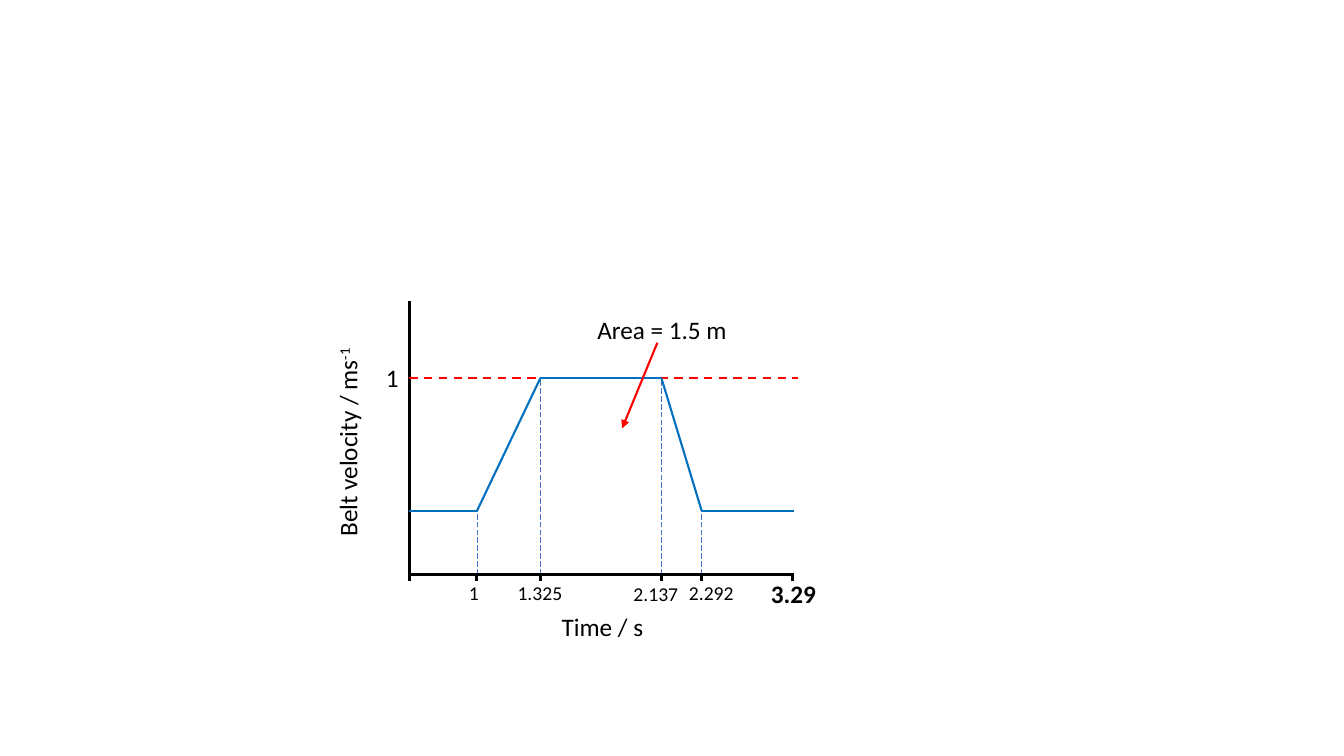
from dataclasses import dataclass
from typing import Optional

from lxml import etree
from pptx import Presentation
from pptx import util as u
from pptx.dml.color import RGBColor
from pptx.enum import dml, shapes, text
from pptx.oxml.ns import qn


@dataclass(frozen=True)
class Theme:
    font: str = "Calibri"
    black: str = "000000"
    blue: str = "0070C0"
    guide: str = "4472C4"
    red: str = "FF0000"
    large: int = 18
    small: int = 14
    thick: float = 2.25
    mid: float = 1.5
    thin: float = 0.5


THEME = Theme()


@dataclass(frozen=True)
class Pen:
    color: str
    width: float
    dash: Optional[dml.MSO_LINE] = None


AXIS = Pen(THEME.black, THEME.thick)
CURVE = Pen(THEME.blue, THEME.mid)
GUIDE = Pen(THEME.guide, THEME.thin, dml.MSO_LINE.LONG_DASH)
LIMIT = Pen(THEME.red, THEME.mid, dml.MSO_LINE.DASH)
ARROW = Pen(THEME.red, THEME.mid)


@dataclass(frozen=True)
class Point:
    x: float
    y: float


@dataclass(frozen=True)
class Label:
    words: str
    left: float
    top: float
    width: float


# Levels and times on the graph, in inches on the slide
BASE, LOW, HIGH, TOP = 5.7, 5.07, 3.75, 2.99
START, RISE, FULL, FALL, REST, END = 4.06, 4.73, 5.36, 6.56, 6.96, 7.86
TICK = 0.06

TRACE = [Point(START, LOW), Point(RISE, LOW), Point(FULL, HIGH),
         Point(FALL, HIGH), Point(REST, LOW), Point(7.88, LOW)]
TIMES = [Label("1", 4.45, 5.71, 0.5), Label("1.325", 4.95, 5.71, 0.81),
         Label("2.137", 6.1, 5.72, 0.81), Label("2.292", 6.65, 5.71, 0.81)]


def draw_line(slide, a: Point, b: Point, pen: Pen, arrow: bool = False) -> None:
    line = slide.shapes.add_connector(
        shapes.MSO_CONNECTOR.STRAIGHT,
        u.Inches(a.x), u.Inches(a.y), u.Inches(b.x), u.Inches(b.y))
    line.line.color.rgb = RGBColor.from_string(pen.color)
    line.line.width = u.Pt(pen.width)
    if pen.dash is not None:
        line.line.dash_style = pen.dash
    if arrow:
        etree.SubElement(line.line._get_or_add_ln(), qn("a:tailEnd"), type="triangle")
    etree.SubElement(line._element.spPr, qn("a:effectLst"))


def add_text(slide, label: Label, *, size: int = THEME.large, bold: bool = False,
             align: text.PP_ALIGN = text.PP_ALIGN.CENTER, turn: int = 0,
             power: str = "") -> None:
    """Place a label; power is set as a superscript after its words."""
    height = 0.4 if size == THEME.large else 0.34
    box = slide.shapes.add_textbox(u.Inches(label.left), u.Inches(label.top),
                                   u.Inches(label.width), u.Inches(height))
    box.rotation = turn
    frame = box.text_frame
    frame.word_wrap = True
    frame.auto_size = text.MSO_AUTO_SIZE.SHAPE_TO_FIT_TEXT
    para = frame.paragraphs[0]
    para.alignment = align
    for words in filter(None, (label.words, power)):
        run = para.add_run()
        run.text = words
        run.font.name = THEME.font
        run.font.size = u.Pt(size)
        run.font.bold = bold
        run.font.color.rgb = RGBColor.from_string(THEME.black)
    if power:
        run._r.get_or_add_rPr().set("baseline", "30000")


def draw_graph(slide) -> None:
    for point in TRACE[1:-1]:
        draw_line(slide, Point(point.x, BASE), point, GUIDE)
    draw_line(slide, Point(START, TOP), Point(START, BASE), AXIS)
    draw_line(slide, Point(START, BASE), Point(7.88, BASE), AXIS)
    for x in (START, RISE, FULL, FALL, REST, END):
        draw_line(slide, Point(x, BASE), Point(x, BASE + TICK), AXIS)
    draw_line(slide, Point(START, HIGH), Point(7.91, HIGH), LIMIT)
    for a, b in zip(TRACE, TRACE[1:]):
        draw_line(slide, a, b, CURVE)
    draw_line(slide, Point(6.52, 3.4), Point(6.17, 4.25), ARROW, arrow=True)


def add_labels(slide) -> None:
    for label in TIMES:
        add_text(slide, label, size=THEME.small)
    add_text(slide, Label("3.29", 7.5, 5.69, 0.74), bold=True)
    add_text(slide, Label("1", 3.73, 3.55, 0.27), align=text.PP_ALIGN.LEFT)
    add_text(slide, Label("Belt velocity / ms", 2.14, 4.19, 2.61), turn=270, power="-1")
    add_text(slide, Label("Time / s", 4.67, 6.02, 2.61))
    add_text(slide, Label("Area = 1.5 m", 5.47, 3.07, 2.19))


def main() -> None:
    deck = Presentation()
    deck.slide_width = u.Inches(13.33)
    deck.slide_height = u.Inches(7.5)
    slide = deck.slides.add_slide(deck.slide_layouts[6])
    draw_graph(slide)
    add_labels(slide)
    deck.save("out.pptx")


if __name__ == "__main__":
    main()
